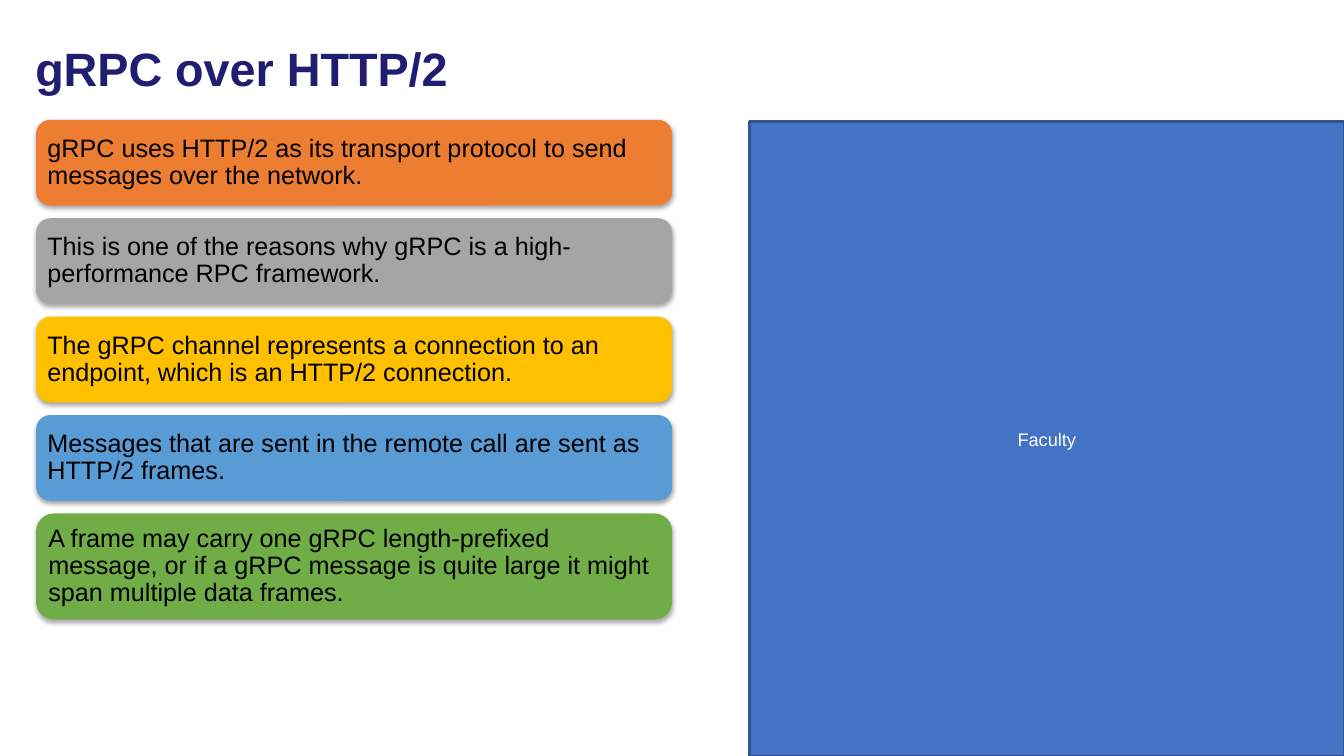
from pptx import Presentation
from pptx.dml.color import RGBColor
from pptx.enum.shapes import MSO_SHAPE
from pptx.enum.text import MSO_ANCHOR, PP_ALIGN
from pptx.oxml import parse_xml
from pptx.oxml.ns import nsdecls, qn
from pptx.util import Cm, Pt

SHADOW = (
    f'<a:outerShdw {nsdecls("a")} blurRad="40000" dist="23000" dir="5400000" '
    'rotWithShape="0"><a:srgbClr val="000000"><a:alpha val="35000"/>'
    '</a:srgbClr></a:outerShdw>'
)


def color(code):
    return RGBColor.from_string(code)


class Deck:
    font = "Arial"

    def __init__(self):
        self.file = Presentation()
        self.file.slide_width = Cm(33.87)
        self.file.slide_height = Cm(19.05)
        self.slide = self.file.slides.add_slide(self.file.slide_layouts[6])

    def label(self, shape, text, size, ink, bold=False,
              align=PP_ALIGN.LEFT, space=0.9, inset=(0.25, 0.13)):
        frame = shape.text_frame
        frame.word_wrap = True
        frame.vertical_anchor = MSO_ANCHOR.MIDDLE
        frame.margin_left = frame.margin_right = Cm(inset[0])
        frame.margin_top = frame.margin_bottom = Cm(inset[1])
        para = frame.paragraphs[0]
        para.alignment = align
        para.line_spacing = space
        run = para.add_run()
        run.text = text
        run.font.name = self.font
        run.font.size = Pt(size)
        run.font.bold = bold
        run.font.color.rgb = color(ink)

    def title(self, text, x, y, w, h):
        box = self.slide.shapes.add_textbox(Cm(x), Cm(y), Cm(w), Cm(h))
        self.label(box, text, 33.4, "211D70", bold=True)

    def shape(self, kind, x, y, w, h, fill):
        shape = self.slide.shapes.add_shape(kind, Cm(x), Cm(y), Cm(w), Cm(h))
        shape.shadow.inherit = False
        shape.fill.solid()
        shape.fill.fore_color.rgb = color(fill)
        return shape

    def panel(self, text, x, y, w, h):
        panel = self.shape(MSO_SHAPE.RECTANGLE, x, y, w, h, "4472C4")
        panel.line.color.rgb = color("31538F")
        panel.line.width = Pt(2)
        self.label(panel, text, 13, "FFFFFF", align=PP_ALIGN.CENTER, space=1)

    def card(self, text, x, y, w, h, fill):
        card = self.shape(MSO_SHAPE.ROUNDED_RECTANGLE, x, y, w, h, fill)
        card.line.fill.background()
        effects = card.element.spPr.find(qn("a:effectLst"))
        effects.append(parse_xml(SHADOW))
        self.label(card, text, 18, "000000", inset=(0.18, 0.18))

    def save(self):
        self.file.save("out.pptx")


CARDS = [
    ("ED7D31", 2.16, "gRPC uses HTTP/2 as its transport protocol to send "
     "messages over the network."),
    ("A5A5A5", 2.16, "This is one of the reasons why gRPC is a "
     "high-performance RPC framework."),
    ("FFC000", 2.16, "The gRPC channel represents a connection to an "
     "endpoint, which is an HTTP/2 connection."),
    ("599BD5", 2.16, "Messages that are sent in the remote call are sent as "
     "HTTP/2 frames."),
    ("70AD47", 2.67, "A frame may carry one gRPC length-prefixed message, or "
     "if a gRPC message is quite large it might span multiple data frames."),
]
GAP = 0.32


def main():
    deck = Deck()
    deck.panel("Faculty", 18.89, 3.07, 14.98, 15.98)
    deck.title("gRPC over HTTP/2", 0.64, 0.64, 30, 2.31)
    top = 3.02
    for fill, height, text in CARDS:
        deck.card(text, 0.91, top, 16.03, height, fill)
        top += height + GAP
    deck.save()


if __name__ == "__main__":
    main()
